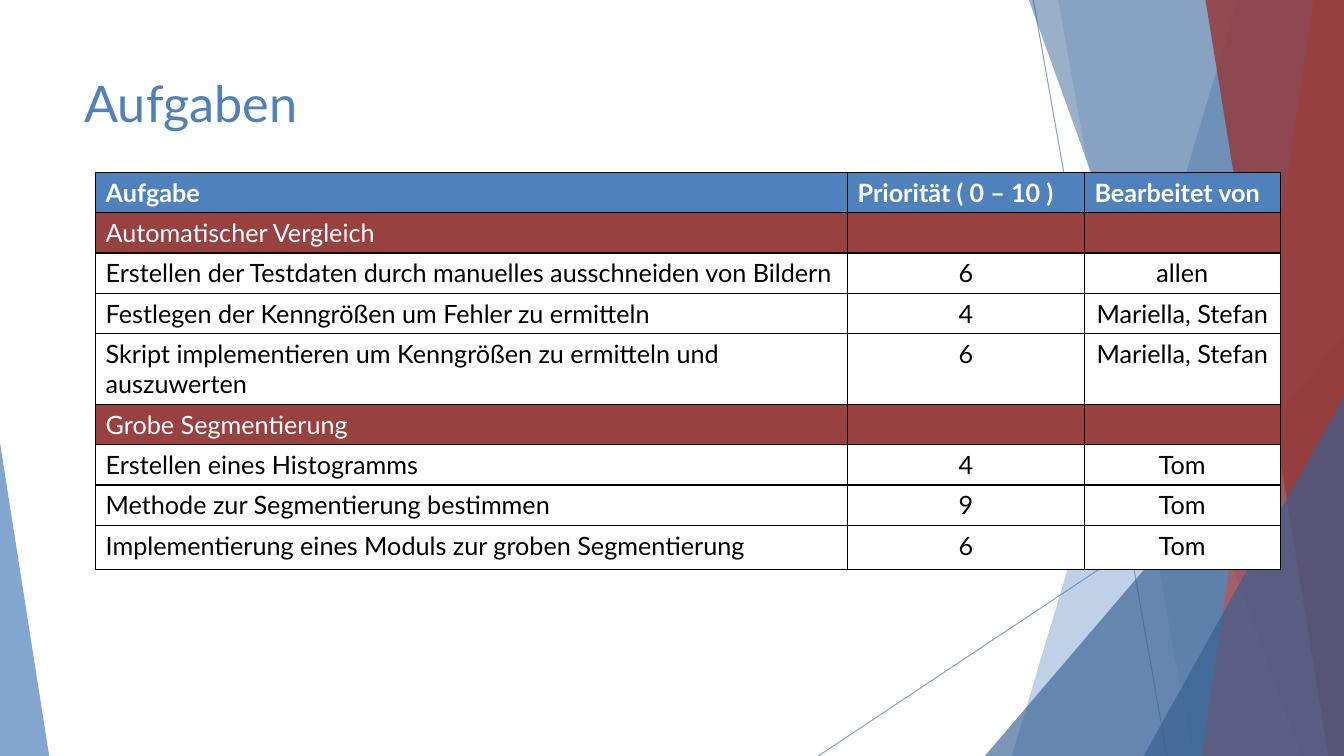
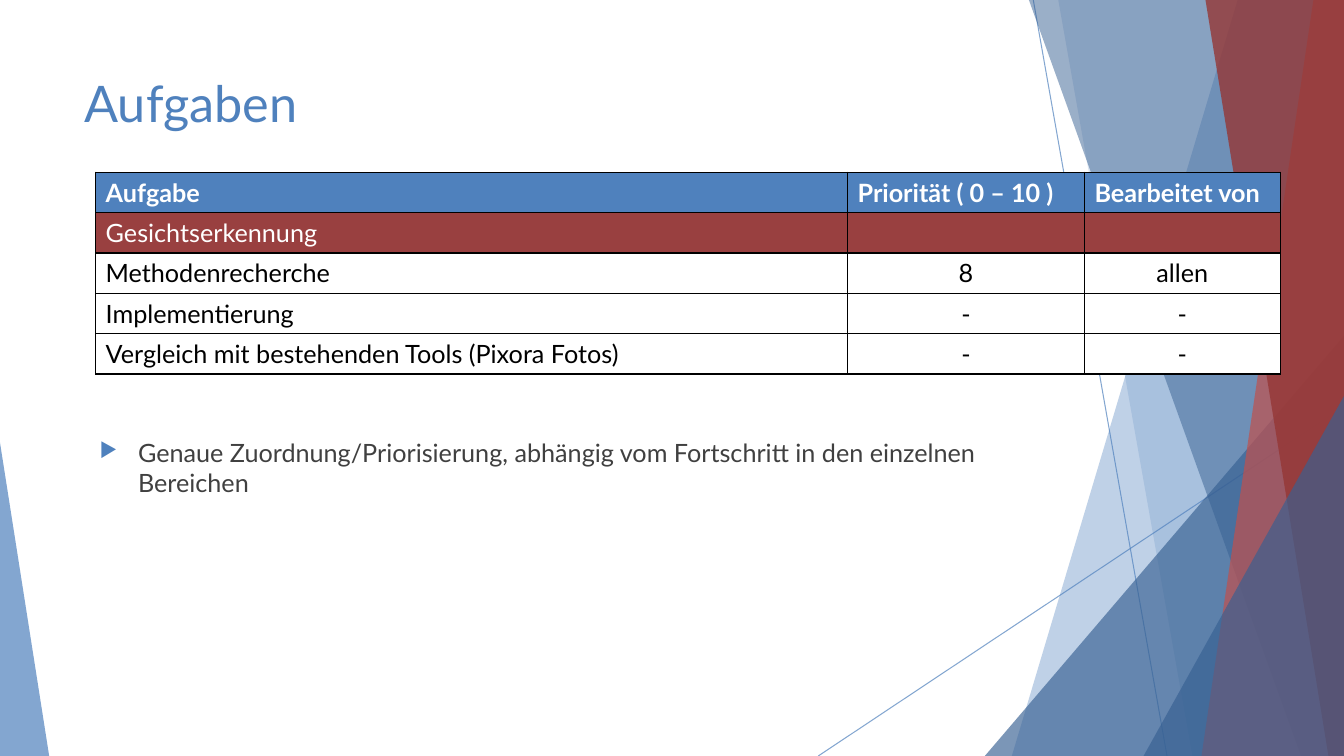
from lxml.etree import SubElement
from pptx import Presentation
from pptx.dml.color import RGBColor
from pptx.enum.shapes import MSO_CONNECTOR, MSO_SHAPE
from pptx.enum.text import PP_ALIGN
from pptx.oxml.ns import qn
from pptx.util import Cm, Pt

BLUE = RGBColor(0x4F, 0x81, 0xBD)
DARK_BLUE = RGBColor(0x37, 0x60, 0x92)
RED = RGBColor(0xC0, 0x50, 0x4D)
DARK_RED = RGBColor(0x95, 0x37, 0x35)
SECTION_RED = RGBColor(0x99, 0x40, 0x40)
GREY = RGBColor(0x40, 0x40, 0x40)
BLACK = RGBColor(0, 0, 0)
WHITE = RGBColor(0xFF, 0xFF, 0xFF)

FONT = "Lato"
WIDTH, HEIGHT = 33.87, 19.05
COLUMN_WIDTHS = (18.95, 5.97, 4.93)
ROW_HEIGHT = 1.01
HEADINGS = ("Aufgabe", "Priorität ( 0 – 10 )", "Bearbeitet von")

COMPARISON_AND_SEGMENTATION = (
    ("Automatischer Vergleich",),
    ("Erstellen der Testdaten durch manuelles ausschneiden von Bildern", "6", "allen"),
    ("Festlegen der Kenngrößen um Fehler zu ermitteln", "4", "Mariella, Stefan"),
    ("Skript implementieren um Kenngrößen zu ermitteln und auszuwerten", "6", "Mariella, Stefan"),
    ("Grobe Segmentierung",),
    ("Erstellen eines Histogramms", "4", "Tom"),
    ("Methode zur Segmentierung bestimmen", "9", "Tom"),
    ("Implementierung eines Moduls zur groben Segmentierung", "6", "Tom"),
)
FACE_RECOGNITION = (
    ("Gesichtserkennung",),
    ("Methodenrecherche", "8", "allen"),
    ("Implementierung", "-", "-"),
    ("Vergleich mit bestehenden Tools (Pixora Fotos)", "-", "-"),
)


def set_opacity(shape, percent):
    """Make the colours of a shape partly transparent."""
    for colour in list(shape.element.spPr.iter(qn("a:srgbClr"))):
        SubElement(colour, qn("a:alpha"), val=str(percent * 1000))


def paint(shape, colour, opacity):
    """Give a shape a translucent fill without line or shadow."""
    shape.shadow.inherit = False
    shape.line.fill.background()
    shape.fill.solid()
    shape.fill.fore_color.rgb = colour
    set_opacity(shape, opacity)


def add_ray(slide, start, end):
    """Draw a thin translucent line."""
    ray = slide.shapes.add_connector(MSO_CONNECTOR.STRAIGHT, *map(Cm, start + end))
    ray.line.color.rgb = BLUE
    ray.line.width = Pt(0.75)
    set_opacity(ray, 70)
    SubElement(ray.element.spPr, qn("a:effectLst"))


def add_band(slide, top_x, bottom_x, colour, opacity):
    """Fill the area between a slanted edge and the right slide edge."""
    outline = slide.shapes.build_freeform(Cm(top_x), 0)
    outline.add_line_segments(
        [(Cm(WIDTH), 0), (Cm(WIDTH), Cm(HEIGHT)), (Cm(bottom_x), Cm(HEIGHT))])
    paint(outline.convert_to_shape(), colour, opacity)


def add_corner(slide, width, height, apex, colour, opacity):
    """Place a triangle in the bottom corner on the side of its apex."""
    corner = slide.shapes.add_shape(
        MSO_SHAPE.ISOSCELES_TRIANGLE, Cm(apex * (WIDTH - width)),
        Cm(HEIGHT - height), Cm(width), Cm(height))
    corner.adjustments[0] = apex
    paint(corner, colour, opacity)


def add_backdrop(slide):
    """Draw the facets shared by all slides."""
    add_ray(slide, (26.04, 0), (29.41, HEIGHT))
    add_ray(slide, (WIDTH, 10.24), (20.62, HEIGHT))
    add_band(slide, 31.19, 25.5, BLUE, 36)
    add_band(slide, 26.67, 30.05, BLUE, 20)
    add_corner(slide, 9.05, 10.59, 1, DARK_BLUE, 66)
    add_band(slide, 25.93, 32.79, DARK_BLUE, 50)
    add_band(slide, 33.1, 30.28, RED, 70)
    add_band(slide, 30.38, 33.48, DARK_RED, 80)
    add_corner(slide, 5.05, 9.07, 1, DARK_BLUE, 66)
    add_corner(slide, 1.24, 7.9, 0, BLUE, 70)


def add_run(paragraph, text, size, colour, bold=False):
    """Append one formatted run."""
    run = paragraph.add_run()
    run.text = text
    run.font.name = FONT
    run.font.size = Pt(size)
    run.font.bold = bold
    run.font.color.rgb = colour


def add_paragraph_box(slide, left, top, width, height):
    """Add a wrapping text box and return its paragraph."""
    frame = slide.shapes.add_textbox(*map(Cm, (left, top, width, height))).text_frame
    frame.word_wrap = True
    return frame.paragraphs[0]


def add_remark(slide, text):
    """Add a remark with an arrowhead bullet."""
    remark = add_paragraph_box(slide, 2.26, 10.9, 23.88, 4.55)
    remark.space_before = Pt(10)
    add_run(remark, text, 18, GREY)
    properties = remark._p.get_or_add_pPr()
    properties.set("marL", str(Cm(0.97)))
    properties.set("indent", str(Cm(-0.97)))
    bullet_colour = SubElement(properties, qn("a:buClr"))
    SubElement(bullet_colour, qn("a:srgbClr"), val=str(BLUE))
    SubElement(properties, qn("a:buSzPct"), val="80000")
    SubElement(properties, qn("a:buChar"), char="▶")


def style_cell(cell, colour):
    """Give a cell black borders and a fill."""
    properties = cell._tc.get_or_add_tcPr()
    for side in ("a:lnL", "a:lnR", "a:lnT", "a:lnB"):
        border = SubElement(properties, qn(side), w=str(Pt(1)))
        border_fill = SubElement(border, qn("a:solidFill"))
        SubElement(border_fill, qn("a:srgbClr"), val=str(BLACK))
    cell.fill.solid()
    cell.fill.fore_color.rgb = colour


def fill_row(cells, texts, fill, colour, bold=False, centred=False):
    """Style one table row and write its texts."""
    for column, cell in enumerate(cells):
        style_cell(cell, fill)
        if column < len(texts):
            paragraph = cell.text_frame.paragraphs[0]
            if centred and column:
                paragraph.alignment = PP_ALIGN.CENTER
            add_run(paragraph, texts[column], 18, colour, bold)


def add_task_table(slide, tasks):
    """Add the task table; a row with one text is a section."""
    row_count = len(tasks) + 1
    table = slide.shapes.add_table(
        row_count, len(HEADINGS), Cm(2.41), Cm(4.34),
        Cm(sum(COLUMN_WIDTHS)), Cm(ROW_HEIGHT * row_count)).table
    table.horz_banding = False
    for column, width in zip(table.columns, COLUMN_WIDTHS):
        column.width = Cm(width)
    fill_row(table.rows[0].cells, HEADINGS, BLUE, WHITE, bold=True)
    for index, task in enumerate(tasks, 1):
        cells = table.rows[index].cells
        if len(task) == 1:
            fill_row(cells, task, SECTION_RED, WHITE)
        else:
            fill_row(cells, task, WHITE, BLACK, centred=True)
    return table


def add_task_slide(deck):
    """Add a slide with the shared backdrop and title."""
    slide = deck.slides.add_slide(deck.slide_layouts[6])
    add_backdrop(slide)
    add_run(add_paragraph_box(slide, 1.88, 1.7, 23.88, 3.66), "Aufgaben", 36, BLUE)
    return slide


def main():
    """Build and save the deck."""
    deck = Presentation()
    deck.slide_width, deck.slide_height = Cm(WIDTH), Cm(HEIGHT)

    tasks = add_task_table(add_task_slide(deck), COMPARISON_AND_SEGMENTATION)
    tasks.rows[4].height = Cm(1.78)
    tasks.rows[8].height = Cm(1.12)

    face_slide = add_task_slide(deck)
    add_task_table(face_slide, FACE_RECOGNITION)
    add_remark(face_slide, "Genaue Zuordnung/Priorisierung, abhängig vom Fortschritt "
                           "in den einzelnen Bereichen")
    deck.save("out.pptx")


main()
